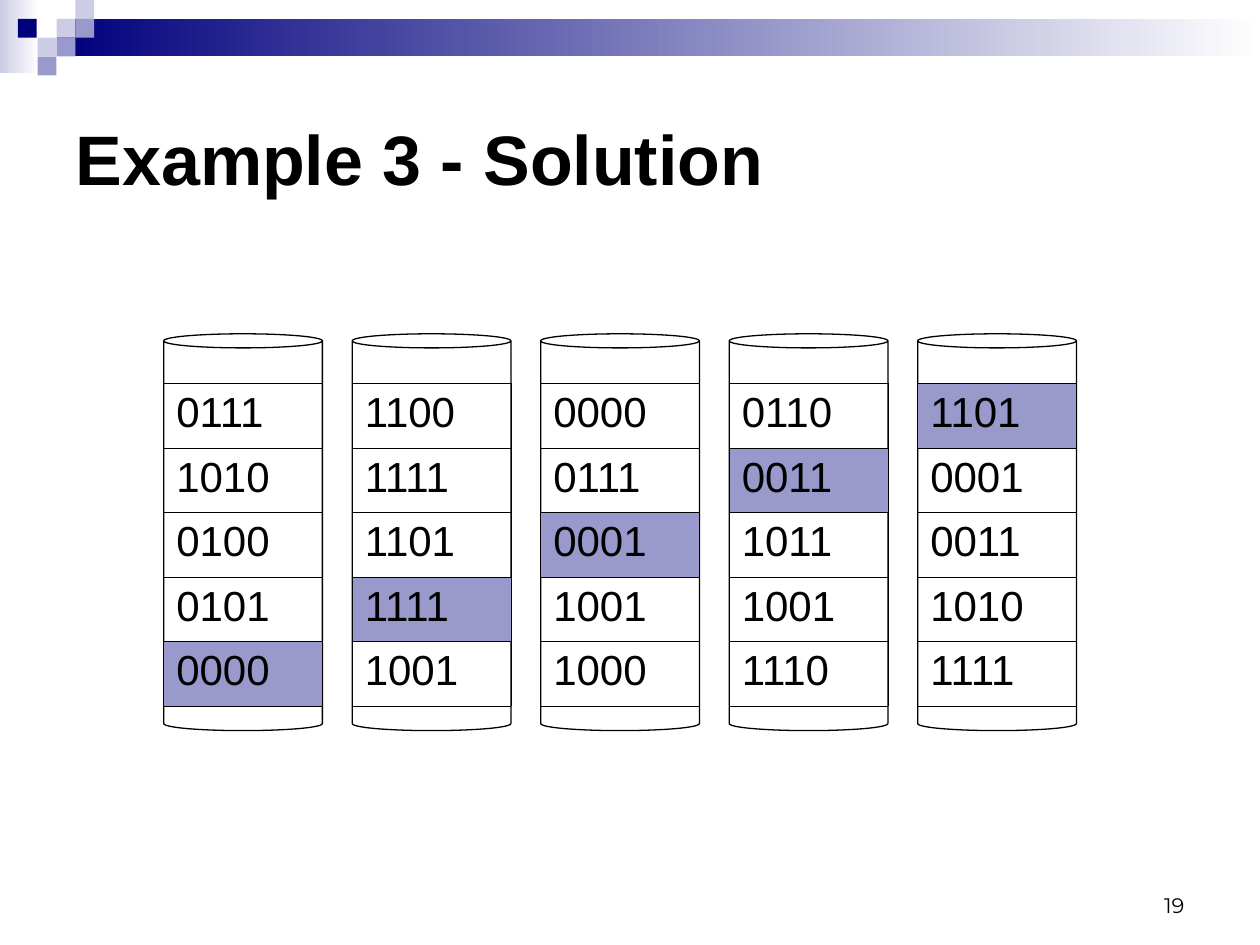
"""Build the solution slide: five disks whose blocks hold data and rotating parity."""
import pptx
import pptx.util
import pptx.dml.color
import pptx.enum.shapes
import pptx.enum.text
import pptx.oxml
import pptx.oxml.ns

Cm, Pt = pptx.util.Cm, pptx.util.Pt
KIND = pptx.enum.shapes.MSO_SHAPE
ALIGN = pptx.enum.text.PP_ALIGN
ANCHOR = pptx.enum.text.MSO_ANCHOR

TITLE = "Example 3 - Solution"
PAGE = "19"
DISKS = [
    ["0111", "1010", "0100", "0101", "0000"],
    ["1100", "1111", "1101", "1111", "1001"],
    ["0000", "0111", "0001", "1001", "1000"],
    ["0110", "0011", "1011", "1001", "1110"],
    ["1101", "0001", "0011", "1010", "1111"],
]
COLORS = {"navy": "00007D", "mid": "9999CC", "pale": "CCCCE6",
          "white": "FFFFFF", "black": "000000"}
BANDS = [("pale", 0, 0, 0.79, 1.47), ("navy", 1.14, 0.38, 24.26, 0.76)]
TILES = [("pale", 1.14, 0.38), ("pale", 1.52, 0), ("mid", 1.52, 0.38),
         ("pale", 0.76, 0.76), ("navy", 0.36, 0.38), ("mid", 1.14, 0.76),
         ("mid", 0.76, 1.14)]
TILE = 0.38
LEFT, TOP, WIDE, HIGH, STEP = 3.3, 6.73, 3.2, 8, 3.8
HEAD, ROW = 1, 1.3


def color(name):
    return pptx.dml.color.RGBColor.from_string(COLORS[name])


def font(para, size, face="Arial", bold=False):
    para.font.size, para.font.name, para.font.bold = Pt(size), face, bold
    para.font.color.rgb = color("black")


def block(slide, kind, x, y, w, h):
    shape = slide.shapes.add_shape(kind, Cm(x), Cm(y), Cm(w), Cm(h))
    shape.shadow.inherit = False
    return shape


def decor(slide):
    for name, *box in BANDS:
        band = block(slide, KIND.RECTANGLE, *box)
        band.line.fill.background()
        band.fill.gradient()
        band.fill.gradient_angle = 0
        for stop, tone in zip(band.fill.gradient_stops, (name, "white")):
            stop.color.rgb = color(tone)
    for name, x, y in TILES:
        tile = block(slide, KIND.RECTANGLE, x, y, TILE, TILE)
        tile.line.fill.background()
        tile.fill.solid()
        tile.fill.fore_color.rgb = color(name)


def border(cell):
    props = cell._tc.get_or_add_tcPr()
    for side in "LRTB":
        props.append(pptx.oxml.parse_xml(
            f'<a:ln{side} {pptx.oxml.ns.nsdecls("a")} w="{Pt(0.45)}"><a:solidFill>'
            f'<a:srgbClr val="{COLORS["black"]}"/></a:solidFill></a:ln{side}>'))


def disk(slide, x, words, parity):
    can = block(slide, KIND.CAN, x, TOP, WIDE, HIGH)
    can.adjustments[0] = 0.089
    can.fill.background()
    can.line.color.rgb = color("black")
    can.line.width = Pt(0.75)
    count = len(words)
    table = slide.shapes.add_table(count, 1, Cm(x), Cm(TOP + HEAD),
                                   Cm(WIDE), Cm(ROW * count)).table
    table.first_row = table.horz_banding = False
    for index, word in enumerate(words):
        cell = table.cell(index, 0)
        cell.text = word
        para = cell.text_frame.paragraphs[0]
        para.space_before = Pt(6)
        font(para, 24)
        border(cell)
        if index == parity:
            cell.fill.solid()
            cell.fill.fore_color.rgb = color("mid")
        else:
            cell.fill.background()


def main():
    deck = pptx.Presentation()
    deck.slide_width, deck.slide_height = Cm(25.4), Cm(19.05)
    slide = deck.slides.add_slide(deck.slide_layouts[5])
    decor(slide)

    title = slide.shapes.title
    title.left, title.top = Cm(1.27), Cm(1.27)
    title.width, title.height = Cm(22.86), Cm(3.81)
    title.text_frame.text = TITLE
    title.text_frame.vertical_anchor = ANCHOR.MIDDLE
    para = title.text_frame.paragraphs[0]
    para.alignment = ALIGN.LEFT
    font(para, 40, bold=True)

    for index, words in enumerate(DISKS):
        disk(slide, LEFT + index * STEP, words, len(words) - 1 - index)

    frame = slide.shapes.add_textbox(Cm(18.2), Cm(17.35), Cm(5.93), Cm(1.27)).text_frame
    frame.word_wrap = True
    frame.vertical_anchor = ANCHOR.BOTTOM
    frame.text = PAGE
    para = frame.paragraphs[0]
    para.alignment = ALIGN.RIGHT
    font(para, 12, "Montserrat")
    deck.save("out.pptx")


if __name__ == "__main__":
    main()
